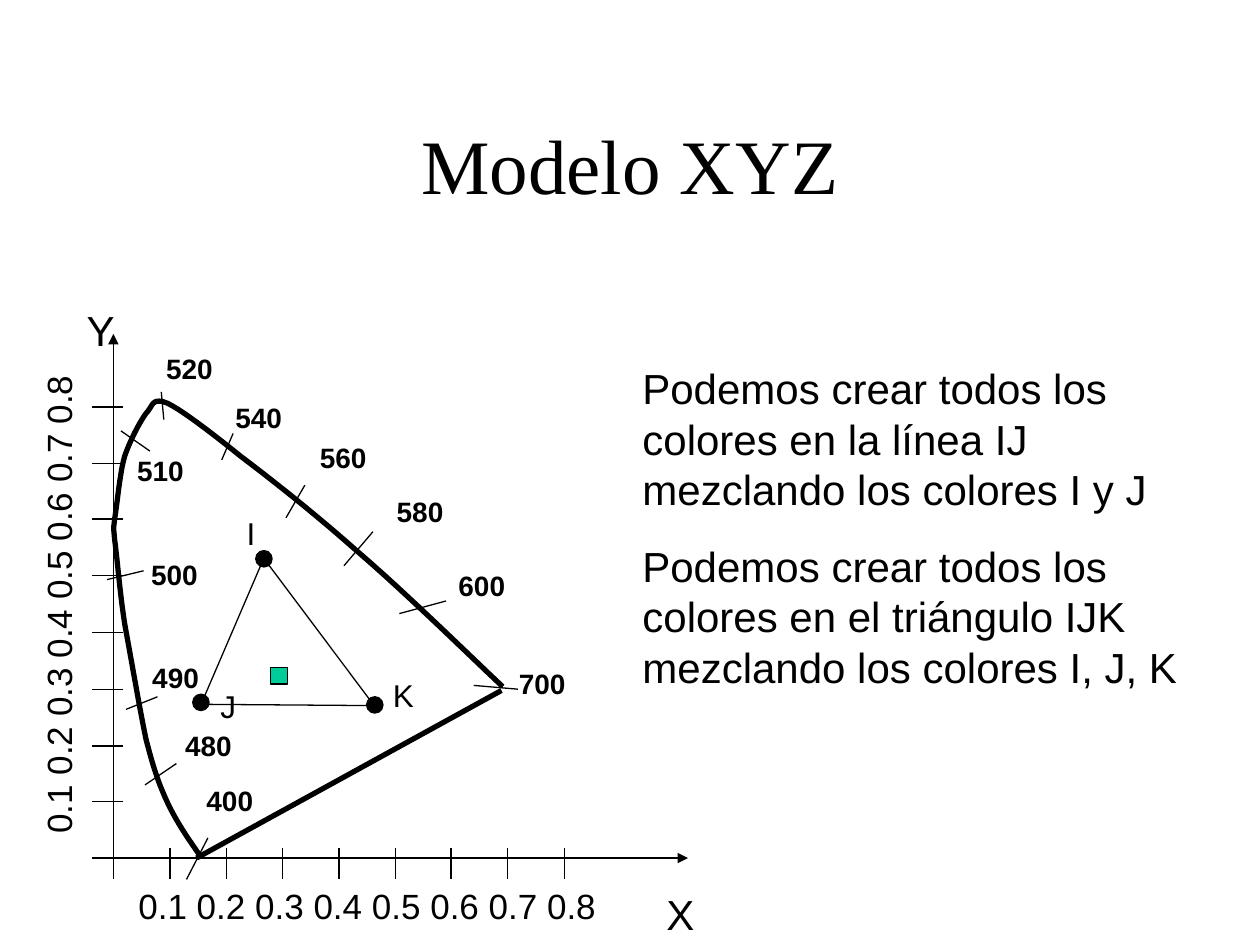
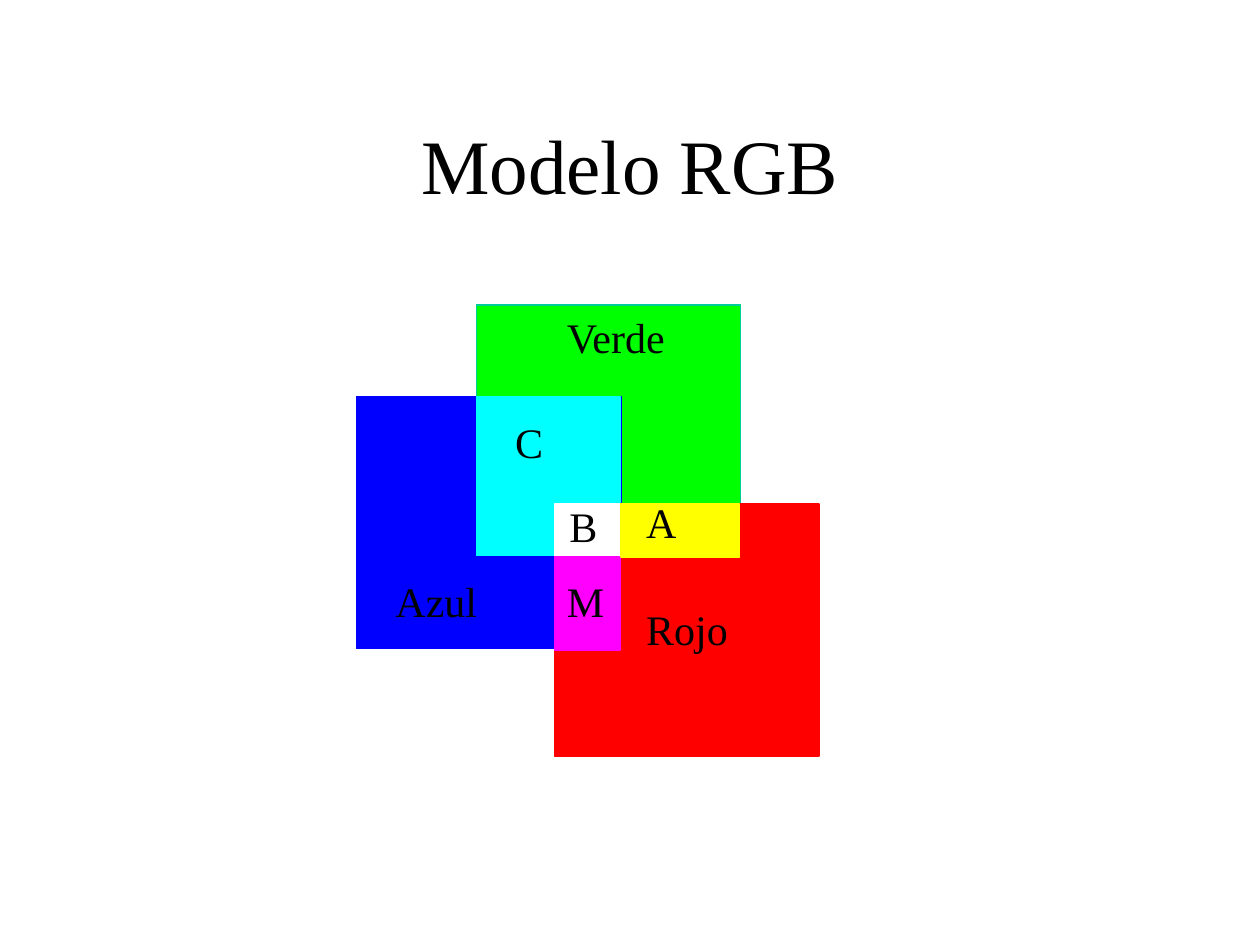
from lxml.etree import SubElement
from pptx import Presentation
from pptx.dml.color import RGBColor
from pptx.enum.shapes import MSO_CONNECTOR as Connector, MSO_SHAPE as Shape
from pptx.enum.text import MSO_ANCHOR as Anchor, MSO_AUTO_SIZE as AutoSize, PP_ALIGN as Align
from pptx.oxml.ns import qn
from pptx.util import Emu, Pt

PX = 9144
BLACK = "000000"
TEAL = "00CC99"
SANS = "Arial"
SERIF = "Times New Roman"
THIN, THICK = 0.75, 3
ORIGIN_X, ORIGIN_Y = 90, 681
TICK_STEP = 44.75
TICK_COUNT = 9
SCALE_LABEL = " ".join(f"0.{tenth}" for tenth in range(1, TICK_COUNT))

GAMUT_START = (158, 678)
GAMUT_CURVES = [
    ((149, 665), (140, 652), (133, 637)),
    ((126, 622), (122, 610), (116, 587)),
    ((111, 563), (104, 522), (99, 495)),
    ((95, 469), (93, 442), (91, 428)),
    ((90, 415), (90, 423), (91, 412)),
    ((93, 401), (95, 376), (99, 362)),
    ((104, 348), (111, 335), (116, 328)),
    ((122, 322), (120, 315), (133, 320)),
    ((145, 326), (166, 342), (191, 362)),
    ((216, 381), (248, 406), (283, 437)),
    ((318, 467), (358, 506), (399, 545)),
]

WAVELENGTHS = [
    ("400", (154, 617), (165, 665), (148, 698)),
    ("480", (137, 573), (115, 623), (140, 606)),
    ("490", (111, 519), (100, 563), (125, 553)),
    ("500", (110, 438), (85, 460), (114, 453)),
    ("510", (99, 355), (96, 342), (119, 358)),
    ("520", (122, 274), (128, 311), (130, 333)),
    ("540", (177, 313), (185, 344), (176, 365)),
    ("560", (244, 345), (242, 385), (227, 411)),
    ("580", (305, 388), (296, 422), (273, 449)),
    ("600", (354, 446), (354, 477), (317, 487)),
    ("700", (402, 524), (376, 544), (411, 547)),
]

TRIANGLE_CORNERS = [
    ("I", (186, 403), (203, 437)),
    ("J", (165, 540), (153, 551)),
    ("K", (302, 532), (291, 553)),
]
TRIANGLE_SIDES = [
    ((160, 558), (209, 444)),
    ((210, 444), (297, 560)),
    ((160, 559), (297, 560)),
]

COLOUR_AREAS = [
    ((378, 242, 210, 200), "00FF00", TEAL),
    ((283, 315, 210, 200), "0000FF", "0000FF"),
    ((440, 400, 210, 200), "FF0000", "FF0000"),
    ((378, 315, 63, 126), "00FFFF", "00FFFF"),
    ((440, 315, 52, 84), "00FFFF", "00FFFF"),
    ((440, 400, 52, 42), "FFFFFF", "FFFFFF"),
    ((440, 442, 52, 74), "FF00FF", "FF00FF"),
    ((493, 400, 94, 42), "FFFF00", "FFFF00"),
]
COLOUR_LABELS = [
    ("Azul", (304, 452, 115, 50)),
    ("Verde", (440, 242, 136, 50)),
    ("Rojo", (503, 474, 115, 50)),
    ("C", (399, 326, 63, 50)),
    ("A", (503, 389, 63, 50)),
    ("M", (440, 452, 63, 50)),
    ("B", (442, 392, 63, 50)),
]


def px(*lengths):
    """Turn px lengths into EMU."""
    return [Emu(round(length * PX)) for length in lengths]


def colour(value):
    """Return the colour of a hex string."""
    return RGBColor.from_string(value)


def apply_format(target, values):
    """Set each named attribute of the target."""
    for name, value in values.items():
        setattr(target, name, value)


def set_line(shape, hex_colour=BLACK, width=THIN):
    """Give a shape or connector a solid outline."""
    shape.line.color.rgb = colour(hex_colour)
    shape.line.width = Pt(width)


def add_text(slide, box, texts, size, font=SANS, bold=False, rotation=0):
    """Add a wrapped text box with one paragraph per text."""
    shape = slide.shapes.add_textbox(*px(*box))
    shape.rotation = rotation
    frame = shape.text_frame
    frame.text = "\n".join(texts)
    apply_format(frame, {"word_wrap": True, "auto_size": AutoSize.SHAPE_TO_FIT_TEXT})
    for paragraph in frame.paragraphs:
        paragraph.space_before = Pt(size * 0.625)
        apply_format(paragraph.runs[0].font, {"name": font, "size": Pt(size), "bold": bold})
        paragraph.runs[0].font.color.rgb = colour(BLACK)
    return shape


def add_title(slide, text):
    """Add the centred slide title."""
    frame = add_text(slide, (75, 67, 850, 125), [text], 44, SERIF).text_frame
    apply_format(frame, {"auto_size": AutoSize.NONE, "vertical_anchor": Anchor.MIDDLE})
    apply_format(frame.paragraphs[0], {"alignment": Align.CENTER, "space_before": Pt(0)})


def add_line(slide, start, end, width=THIN, arrow=False):
    """Add a straight line, with an arrowhead at its end if asked."""
    connector = slide.shapes.add_connector(Connector.STRAIGHT, *px(*start, *end))
    set_line(connector, width=width)
    properties = connector.element.spPr
    if arrow:
        SubElement(properties.find(qn("a:ln")), qn("a:tailEnd"), type="triangle")
    SubElement(properties, qn("a:effectLst"))


def add_area(slide, kind, box, fill, line):
    """Add a filled preset shape."""
    shape = slide.shapes.add_shape(kind, *px(*box))
    shape.shadow.inherit = False
    shape.fill.solid()
    shape.fill.fore_color.rgb = colour(fill)
    set_line(shape, line)


def curve_points(start, curves, steps=10):
    """Return points along a chain of cubic curves."""
    points = []
    for first, second, end in curves:
        for step in range(1, steps + 1):
            t = step / steps
            weights = ((1 - t) ** 3, 3 * t * (1 - t) ** 2, 3 * t * t * (1 - t), t ** 3)
            corners = (start, first, second, end)
            points.append([sum(w * corner[axis] for w, corner in zip(weights, corners))
                           for axis in (0, 1)])
        start = end
    return points


def add_curve(slide, start, curves, width):
    """Add an open, unfilled curved outline."""
    builder = slide.shapes.build_freeform(*px(*start))
    points = [px(*point) for point in curve_points(start, curves)]
    builder.add_line_segments(points, close=False)
    shape = builder.convert_to_shape()
    shape.shadow.inherit = False
    shape.fill.background()
    set_line(shape, width=width)


def add_axes(slide):
    """Add both axes with their ticks, names and scales."""
    add_line(slide, (ORIGIN_X, ORIGIN_Y), (ORIGIN_X, 265), arrow=True)
    add_line(slide, (ORIGIN_X, ORIGIN_Y), (546, ORIGIN_Y), arrow=True)
    for tick in range(TICK_COUNT):
        x = round(ORIGIN_X + tick * TICK_STEP)
        y = round(ORIGIN_Y - tick * TICK_STEP)
        add_line(slide, (x, 673), (x, 698))
        add_line(slide, (98, y), (73, y))
    add_text(slide, (519, 700, 54, 50), ["X"], 24)
    add_text(slide, (59, 237, 54, 50), ["Y"], 24)
    add_text(slide, (-157, 446, 407, 44), [SCALE_LABEL], 20, rotation=270)
    add_text(slide, (100, 697, 407, 44), [SCALE_LABEL], 20)


def add_gamut(slide):
    """Add the visible colour outline with its wavelengths."""
    add_line(slide, (156, 681), (398, 548), THICK)
    add_curve(slide, GAMUT_START, GAMUT_CURVES, THICK)
    for label, position, start, end in WAVELENGTHS:
        add_line(slide, start, end)
        add_text(slide, (*position, 75, 37), [label], 16, bold=True)


def add_triangle(slide):
    """Add the IJK triangle and the sample colour inside it."""
    add_area(slide, Shape.RECTANGLE, (215, 530, 13, 13), TEAL, BLACK)
    for label, label_position, dot_position in TRIANGLE_CORNERS:
        add_area(slide, Shape.OVAL, (*dot_position, 13, 13), BLACK, BLACK)
        add_text(slide, (*label_position, 40, 40), [label], 18)
    for start, end in TRIANGLE_SIDES:
        add_line(slide, start, end)


def add_xyz_slide(slide):
    """Fill the slide on the XYZ model."""
    add_title(slide, "Modelo XYZ")
    add_axes(slide)
    add_gamut(slide)
    add_triangle(slide)
    add_text(slide, (500, 283, 465, 271), [
        "Podemos crear todos los colores en la línea IJ mezclando los colores I y J",
        "Podemos crear todos los colores en el triángulo IJK mezclando los colores I, J, K",
    ], 24)


def add_rgb_slide(slide):
    """Fill the slide on the RGB model."""
    add_title(slide, "Modelo RGB")
    for box, fill, line in COLOUR_AREAS:
        add_area(slide, Shape.RECTANGLE, box, fill, line)
    for label, box in COLOUR_LABELS:
        add_text(slide, box, [label], 24, SERIF)


def main():
    """Build and save the presentation."""
    presentation = Presentation()
    width, height = px(1000, 750)
    apply_format(presentation, {"slide_width": width, "slide_height": height})
    blank = presentation.slide_layouts[6]
    for fill_slide in (add_xyz_slide, add_rgb_slide):
        fill_slide(presentation.slides.add_slide(blank))
    presentation.save("out.pptx")


if __name__ == "__main__":
    main()
